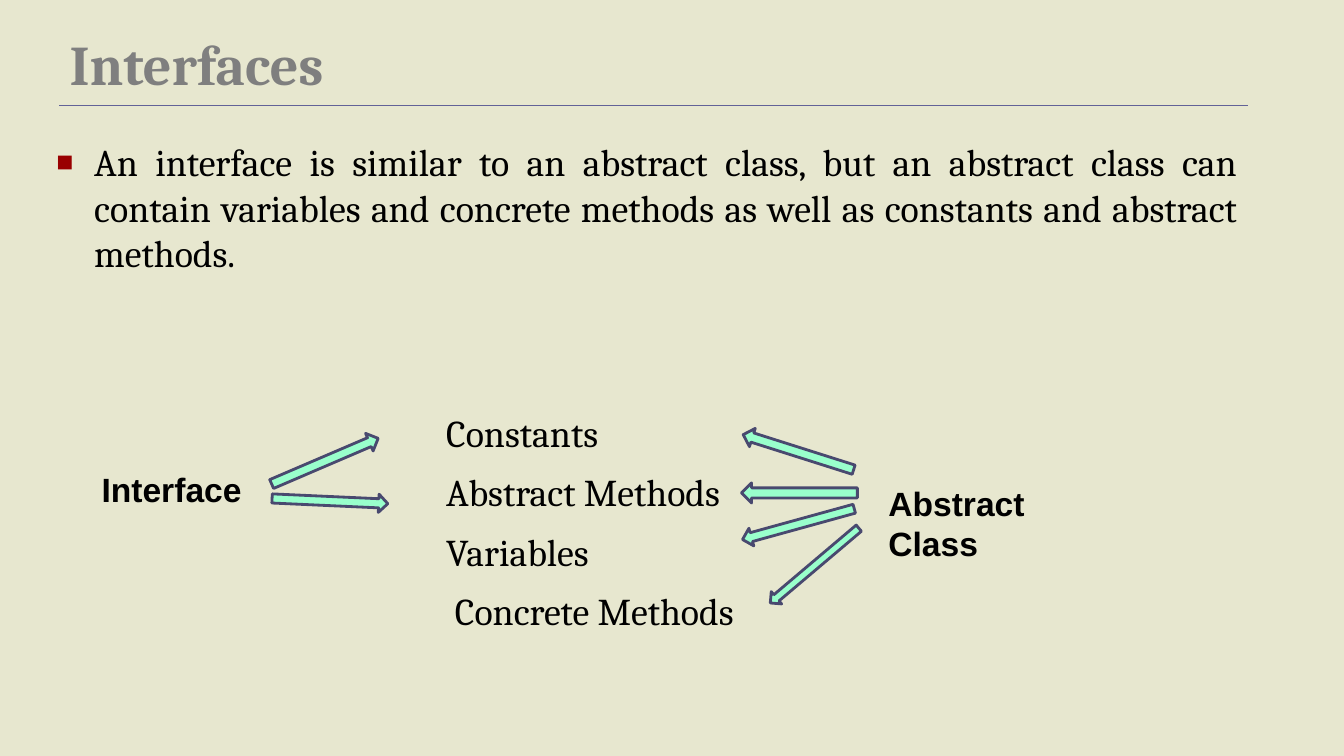
from lxml import etree
from pptx import Presentation
from pptx.dml.color import RGBColor
from pptx.enum.shapes import MSO_CONNECTOR, MSO_SHAPE
from pptx.enum.text import MSO_ANCHOR, MSO_AUTO_SIZE, PP_ALIGN
from pptx.oxml.ns import qn
from pptx.util import Pt

ARROW, LINE = MSO_SHAPE.RIGHT_ARROW, MSO_CONNECTOR.STRAIGHT
LEFT, JUST = PP_ALIGN.LEFT, PP_ALIGN.JUSTIFY
TOP, BOTTOM = MSO_ANCHOR.TOP, MSO_ANCHOR.BOTTOM
NO_FIT = MSO_AUTO_SIZE.NONE

COLORS = {"back": "E7E7CF", "title": "7F7F7F", "text": "000000",
          "bullet": "990000", "rule": "626297",
          "arrow": "99FFCC", "edge": "49496F"}

TITLE = "Interfaces"
INTRO = ("An interface is similar to an abstract class, but an abstract class "
         "can contain variables and concrete methods as well as constants and "
         "abstract methods.")
# member, left indent, space before
MEMBERS = [("Constants", 278.6, 95.6),
           ("Abstract Methods", 278.6, 10.1),
           ("Variables", 278.6, 10.1),
           ("Concrete Methods", 284.8, 10.1)]
# label, left, top, width, height
LABELS = [("Interface", 65.5, 331.2, 114.5, 36),
          ("Abstract Class", 627.8, 341.3, 182.2, 36)]
# left, top, height, turn in degrees
ARROWS = [(190.8, 322.6, 13.7, 336.8),
          (194.4, 351.4, 13, 2.6),
          (529.2, 316.1, 13.7, 197.6),
          (529.9, 344.9, 14.4, 180),
          (529.2, 367.9, 13, 164.6),
          (540.7, 398.2, 11.5, 139.8)]
ARROW_W = 82.8
INTRO_IND = 27


def color(name):
    return RGBColor.from_string(COLORS[name])


def place(shape, *box):
    shape.left, shape.top, shape.width, shape.height = map(Pt, box)


def write(para, text, size, face, tint="text", bold=False):
    run = para.add_run()
    run.text = text
    font = run.font
    font.size, font.name, font.bold = Pt(size), face, bold
    font.color.rgb = color(tint)


def indent(para, left, first=0):
    props = para._p.get_or_add_pPr()
    props.set("marL", str(Pt(left)))
    props.set("indent", str(Pt(first)))
    return props


def add_bullet(props):
    tint = etree.SubElement(props, qn("a:buClr"))
    etree.SubElement(tint, qn("a:srgbClr"), val=COLORS["bullet"])
    etree.SubElement(props, qn("a:buSzPct"), val="75000")
    etree.SubElement(props, qn("a:buFont"), typeface="Arial")
    etree.SubElement(props, qn("a:buChar"), char="■")


def add_title(slide):
    title = slide.shapes.title
    place(title, 42.5, 10.1, 648, 61.9)
    frame = title.text_frame
    frame.auto_size, frame.vertical_anchor = NO_FIT, BOTTOM
    para = frame.paragraphs[0]
    para.alignment, para.line_spacing = LEFT, 0.8
    write(para, TITLE, 40, "Cambria", "title", True)


def add_body(slide):
    body = slide.placeholders[1]
    place(body, 33.1, 95.8, 858.2, 414)
    frame = body.text_frame
    frame.auto_size, frame.vertical_anchor = NO_FIT, TOP
    intro = frame.paragraphs[0]
    intro.alignment, intro.space_before = JUST, Pt(0)
    add_bullet(indent(intro, INTRO_IND, -INTRO_IND))
    write(intro, INTRO, 27, "Cambria")
    for text, left, gap in MEMBERS:
        para = frame.add_paragraph()
        para.alignment, para.space_before = LEFT, Pt(gap)
        etree.SubElement(indent(para, left), qn("a:buNone"))
        write(para, text, 27, "Cambria")


def add_rule(slide):
    rule = slide.shapes.add_connector(LINE, Pt(42.5), Pt(75.6), Pt(892), Pt(75.6))
    rule.line.color.rgb = color("rule")
    rule.line.width = Pt(0.75)
    etree.SubElement(rule._element.spPr, qn("a:effectLst"))


def add_label(slide, text, *box):
    label = slide.shapes.add_textbox(*map(Pt, box))
    label.text_frame.word_wrap = False
    write(label.text_frame.paragraphs[0], text, 24, "Arial", bold=True)


def add_arrow(slide, left, top, height, turn):
    arrow = slide.shapes.add_shape(ARROW, Pt(left), Pt(top), Pt(ARROW_W), Pt(height))
    arrow.rotation = turn
    arrow.shadow.inherit = False
    arrow.fill.solid()
    arrow.fill.fore_color.rgb = color("arrow")
    arrow.line.color.rgb = color("edge")
    arrow.line.width = Pt(2)


def main():
    deck = Presentation()
    deck.slide_width, deck.slide_height = Pt(960.5), Pt(540)
    slide = deck.slides.add_slide(deck.slide_layouts[1])
    back = slide.background.fill
    back.solid()
    back.fore_color.rgb = color("back")
    add_title(slide)
    add_body(slide)
    add_rule(slide)
    for label in LABELS:
        add_label(slide, *label)
    for arrow in ARROWS:
        add_arrow(slide, *arrow)
    deck.save("out.pptx")


if __name__ == "__main__":
    main()
